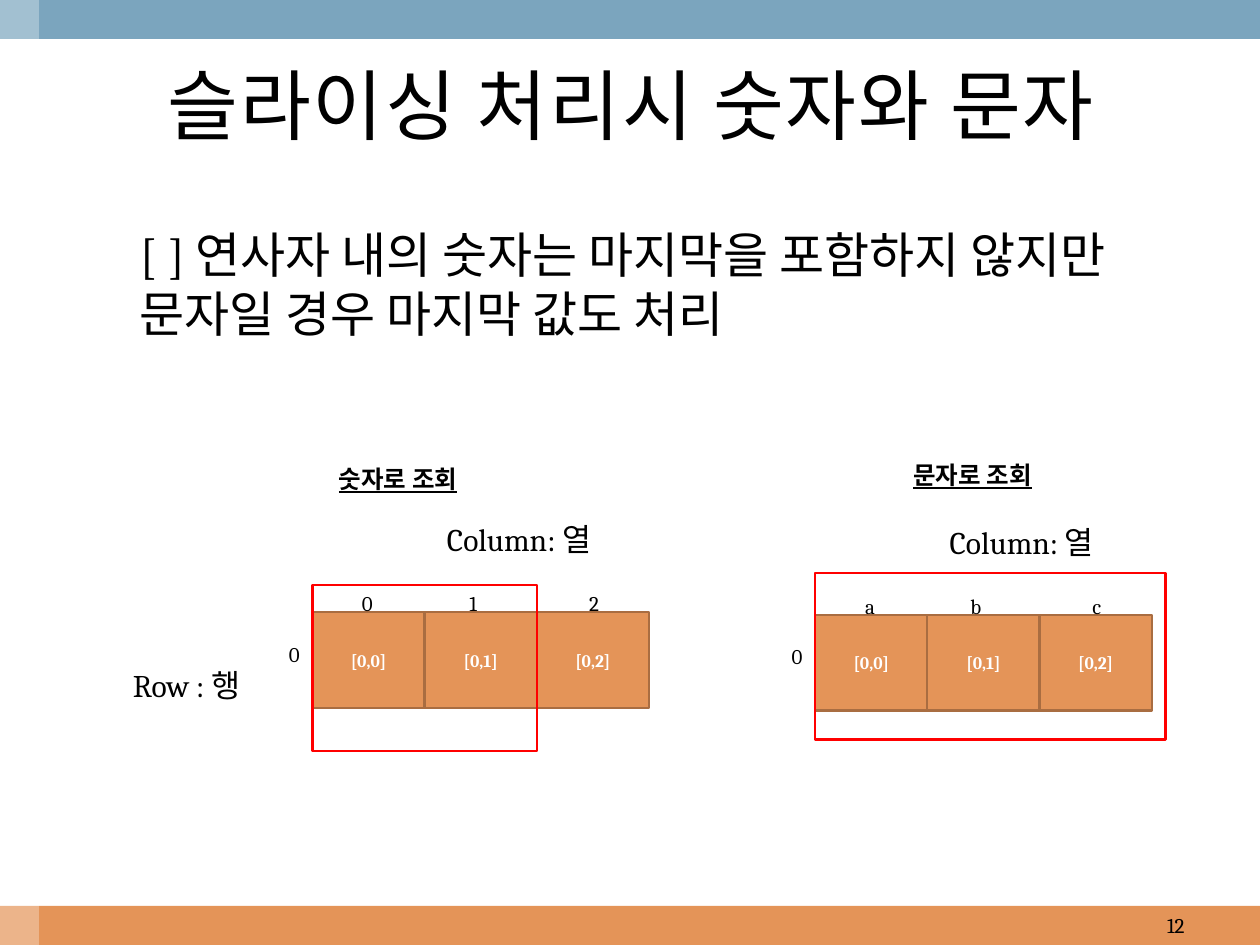
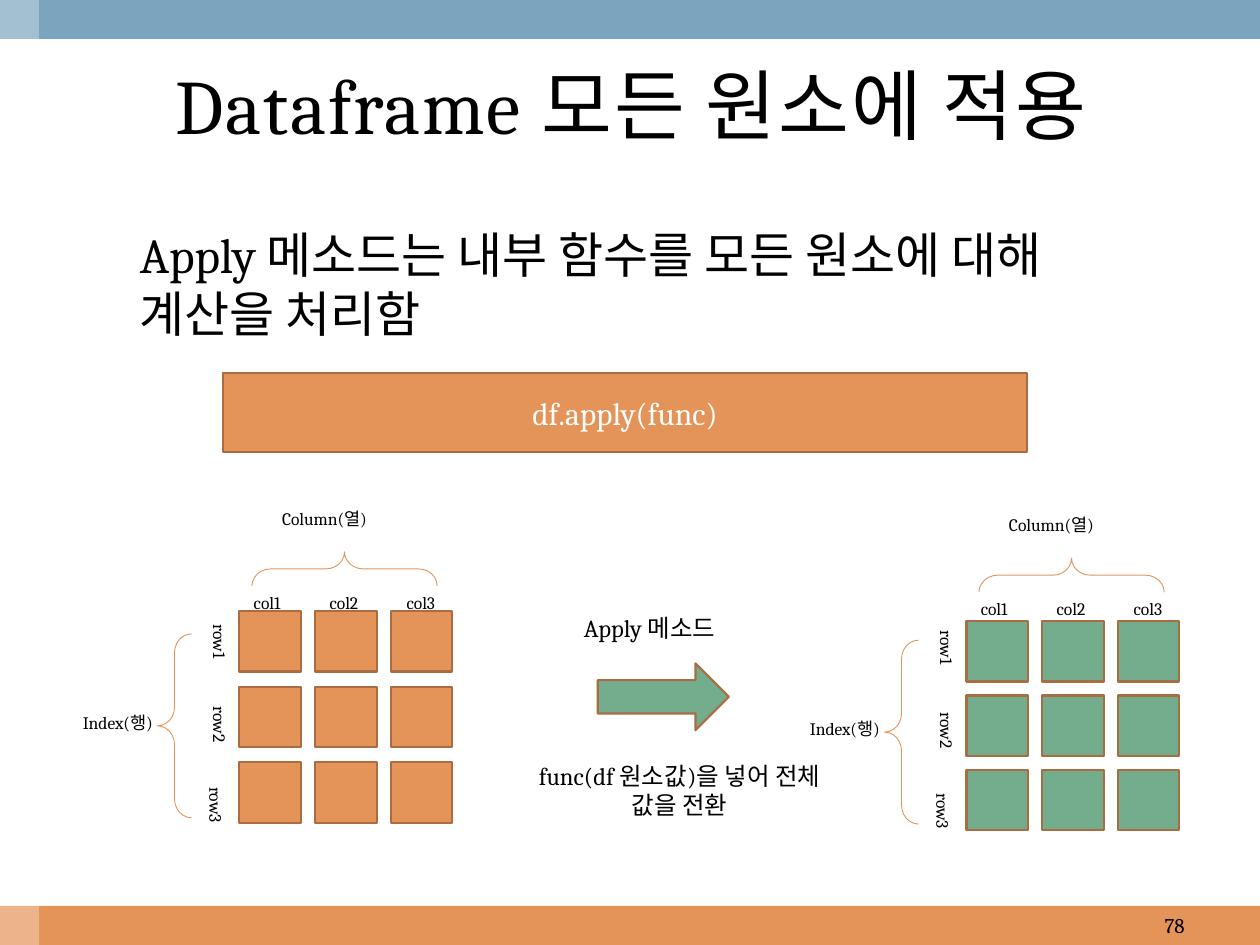
from lxml import etree
from pptx import Presentation
from pptx.dml.color import RGBColor
from pptx.enum.shapes import MSO_SHAPE as Preset
from pptx.enum.text import MSO_ANCHOR as Anchor, MSO_AUTO_SIZE as AutoSize, PP_ALIGN as Align
from pptx.oxml.ns import qn
from pptx.util import Inches, Pt

COLORS = {
    "orange": "E49458",
    "brown": "A96D41",
    "blue": "7BA5BE",
    "green": "74AD8D",
    "red": "FF0000",
    "white": "FFFFFF",
    "black": "000000",
}
FONT = "Cambria"


def draw(shapes, preset, place, fill=None, line=None, weight=1.25):
    shape = shapes.add_shape(preset, *map(Inches, place))
    shape.shadow.inherit = False
    if fill:
        shape.fill.solid()
        shape.fill.fore_color.rgb = RGBColor.from_string(COLORS[fill])
    else:
        shape.fill.background()
    if line:
        shape.line.color.rgb = RGBColor.from_string(COLORS[line])
        shape.line.width = Pt(weight)
    else:
        shape.line.fill.background()
    return shape


def write(shape, text, size, color="black", align=Align.CENTER, anchor=Anchor.TOP, bold=False):
    frame = shape.text_frame
    frame.word_wrap = True
    frame.vertical_anchor = anchor
    grows = anchor == Anchor.TOP and not shape.is_placeholder
    frame.auto_size = AutoSize.SHAPE_TO_FIT_TEXT if grows else AutoSize.NONE
    para = frame.paragraphs[0]
    para.alignment = align
    span = para.add_run()
    span.text = text
    span.font.name = FONT
    span.font.size = Pt(size)
    span.font.bold = bold
    span.font.color.rgb = RGBColor.from_string(COLORS[color])
    return span


deck = Presentation()
deck.slide_width = Inches(10)
deck.slide_height = Inches(7.5)
layout = deck.slide_layouts[1]

contents = [
    ("슬라이싱 처리시 숫자와 문자",
     "[ ] 연사자 내의 숫자는 마지막을 포함하지 않지만 문자일 경우 마지막 값도 처리", 1.47, "12"),
    ("Dataframe 모든 원소에 적용",
     "Apply 메소드는 내부 함수를 모든 원소에 대해 계산을 처리함", 1, "78"),
]
pages = []
for title, body, body_height, number in contents:
    page = deck.slides.add_slide(layout)
    pages.append(page)
    heading, content = page.placeholders
    heading.left, heading.top, heading.width, heading.height = map(Inches, (0.33, 0.31, 9.36, 1.03))
    span = write(heading, title, 44, anchor=Anchor.MIDDLE)
    span.font._element.set("spc", "100")

    content.left, content.top, content.width, content.height = map(Inches, (0.51, 1.73, 9, body_height))
    para = content.text_frame.paragraphs[0]
    para.level = 1
    properties = para._p.get_or_add_pPr()
    properties.set("marL", str(Inches(0.5)))
    properties.set("indent", "0")
    etree.SubElement(properties, qn("a:buNone"))
    para.space_before = Pt(0)
    write(content, body, 28, align=Align.LEFT)

    box = page.shapes.add_textbox(*map(Inches, (7.17, 7.19, 2.33, 0.31)))
    write(box, number, 12, align=Align.RIGHT, anchor=Anchor.MIDDLE)

slicing, applying = pages

bands = [
    ((0, 7.19, 10, 0.31), "orange"),
    ((0, 0, 10, 0.31), "blue"),
    ((0, 0, 0.31, 7.5), "white"),
]
for index, (place, color) in enumerate(bands):
    band = draw(slicing.shapes, Preset.RECTANGLE, place, color)
    band._element.nvSpPr.cNvPr.set("id", str(20 + index))
    layout.shapes._spTree.insert(2 + index, band._element)
veil_color = band._element.spPr.find(".//" + qn("a:srgbClr"))
etree.SubElement(veil_color, qn("a:alpha")).set("val", "30000")

lookups = [
    (2.48, 4.86, "012", "숫자로 조회", (1.57, 3.63), (2.48, 4.64, 1.78, 1.32)),
    (6.47, 4.88, "abc", "문자로 조회", (6.13, 3.6), (6.47, 4.55, 2.78, 1.32)),
]
for left, top, names, caption, caption_at, frame_place in lookups:
    for index, name in enumerate(names):
        cell = draw(slicing.shapes, Preset.RECTANGLE, (left + index * 0.89, top, 0.89, 0.76), "orange", "brown")
        write(cell, f"[0,{index}]", 10, "white", anchor=Anchor.MIDDLE, bold=True)
    labels = [("Column: 열", 0.76, -0.78, 1.76, 0.4, 18), ("0", -0.37, 0.18, 0.45, 0.3, 12)]
    labels += [(name, offset, -0.22, 0.45, 0.3, 12) for name, offset in zip(names, (0.21, 1.05, 2.01))]
    for text, dx, dy, width, height, size in labels:
        box = slicing.shapes.add_textbox(*map(Inches, (left + dx, top + dy, width, height)))
        write(box, text, size)
    draw(slicing.shapes, Preset.RECTANGLE, frame_place, line="red")
    box = slicing.shapes.add_textbox(*map(Inches, (*caption_at, 3.18, 0.35)))
    write(box, caption, 14, bold=True).font.underline = True

box = slicing.shapes.add_textbox(*map(Inches, (0.85, 5.24, 1.26, 0.4)))
write(box, "Row : 행", 18)

call = draw(applying.shapes, Preset.RECTANGLE, (1.77, 2.96, 6.38, 0.63), "orange", "brown")
write(call, "df.apply(func)", 18, "white", anchor=Anchor.MIDDLE)

for text, place in [
    ("Apply 메소드", (4.13, 4.82, 2.05, 0.34)),
    ("func(df 원소값)을 넣어 전체 값을 전환", (3.98, 5.99, 2.83, 0.57)),
]:
    write(applying.shapes.add_textbox(*map(Inches, place)), text, 14)

arrow = draw(applying.shapes, Preset.DOWN_ARROW, (5, 5.01, 0.53, 1.04), "green", "brown")
arrow.rotation = 270

for left, top, cell_top, row_step, color in [
    (0.33, 3.98, 4.85, 0.6, "orange"),
    (6.1, 4.03, 4.93, 0.59, "green"),
]:
    shapes = applying.shapes.add_group_shape().shapes
    for row in range(3):
        for column in range(3):
            place = (left + 1.57 + column * 0.6, cell_top + row * row_step, 0.49, 0.48)
            draw(shapes, Preset.RECTANGLE, place, color, "brown")

    for dx, dy, height, rotation in [(0.92, 1.05, 1.46, 180), (2.27, -0.2, 1.47, 270)]:
        brace = draw(shapes, Preset.RIGHT_BRACE, (left + dx, top + dy, 0.27, height), line="orange", weight=0.5)
        brace.adjustments[0] = 0.55
        brace.rotation = rotation

    labels = [("Index(행)", 0, 1.62, 1.21, Align.CENTER), ("Column(열)", 1.81, 0, 1.44, Align.LEFT)]
    labels += [(f"col{index + 1}", 1.52 + index * 0.61, 0.67, 0.54, Align.CENTER) for index in range(3)]
    for text, dx, dy, width, align in labels:
        box = shapes.add_textbox(*map(Inches, (left + dx, top + dy, width, 0.27)))
        write(box, text, 10, align=align)

    for text, dx, dy in [("row1", 1.18, 0.88), ("row2", 1.18, 1.53), ("row3", 1.15, 2.17)]:
        box = shapes.add_textbox(*map(Inches, (left + dx, top + dy, 0.37, 0.44)))
        write(box, text, 10, align=Align.LEFT)
        box.text_frame.word_wrap = False
        box.text_frame._txBody.bodyPr.set("vert", "eaVert")

deck.save("out.pptx")
